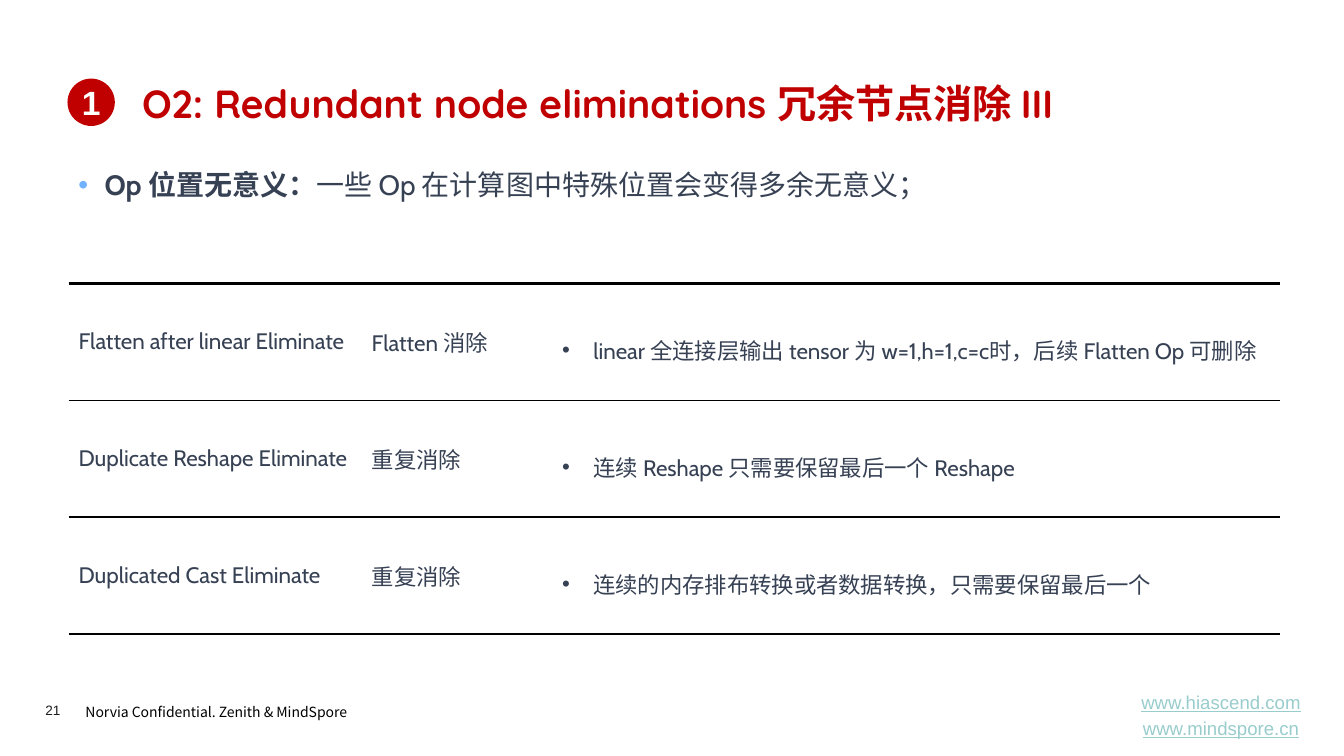
from lxml.etree import SubElement
from pptx import Presentation
from pptx.dml.color import RGBColor
from pptx.enum.shapes import MSO_SHAPE
from pptx.enum.text import MSO_ANCHOR, MSO_AUTO_SIZE, PP_ALIGN
from pptx.oxml.ns import qn
from pptx.util import Inches, Pt

COLORS = {"red": "C00000", "text": "374154", "bullet": "71B2FF", "black": "000000",
          "number": "1D1D1B", "link": "99CCCC", "white": "FFFFFF"}
CJK_FONT = "Noto Sans CJK SC"


def add_span(para, text, size, font, color, bold=False):
    span = para.add_run()
    span.text = text
    span.font.size = Pt(size)
    span.font.name = font
    span.font.bold = bold
    span.font.color.rgb = RGBColor.from_string(COLORS[color])
    SubElement(span.font._element, qn("a:ea"), typeface=CJK_FONT)
    return span


def add_bullet(para, indent, color, spacing):
    props = para._p.get_or_add_pPr()
    props.set("marL", str(Inches(indent)))
    props.set("indent", str(-Inches(indent)))
    bullet_color = SubElement(props, qn("a:buClr"))
    SubElement(bullet_color, qn("a:srgbClr"), val=COLORS[color])
    SubElement(props, qn("a:buFont"), typeface="Arial")
    SubElement(props, qn("a:buChar"), char="•")
    para.line_spacing = spacing


deck = Presentation()
deck.slide_width, deck.slide_height = Inches(13.34), Inches(7.5)
page = deck.slides.add_slide(deck.slide_layouts[5])

# Title
title = page.shapes.title
title.left, title.top = Inches(1.31), Inches(0.74)
title.width, title.height = Inches(11.36), Inches(0.64)
frame = title.text_frame
frame.auto_size = MSO_AUTO_SIZE.NONE
frame.vertical_anchor = MSO_ANCHOR.TOP
para = frame.paragraphs[0]
para.alignment = PP_ALIGN.LEFT
add_span(para, "O2: Redundant node eliminations 冗余节点消除 III", 28, "Quicksand", "red", True)

# Numbered badge
badge = page.shapes.add_shape(MSO_SHAPE.OVAL, Inches(0.67), Inches(0.78), Inches(0.47), Inches(0.47))
badge.shadow.inherit = False
badge.fill.solid()
badge.fill.fore_color.rgb = RGBColor.from_string(COLORS["red"])
badge.line.fill.background()
frame = badge.text_frame
frame.word_wrap = False
frame.vertical_anchor = MSO_ANCHOR.MIDDLE
para = frame.paragraphs[0]
para.alignment = PP_ALIGN.CENTER
add_span(para, "1", 24, "Arial", "white", True)

# Introductory bullet
intro = page.shapes.add_textbox(Inches(0.68), Inches(1.55), Inches(11.99), Inches(0.64))
intro.text_frame.word_wrap = True
para = intro.text_frame.paragraphs[0]
add_bullet(para, 0.26, "bullet", 1.2)
add_span(para, "Op 位置无意义：", 20, "Cabin", "text", True)
add_span(para, "一些 Op 在计算图中特殊位置会变得多余无意义；", 20, "Cabin", "text")

# Table of eliminations
ROWS = [
    ("Flatten after linear Eliminate", "Flatten 消除",
     "linear 全连接层输出 tensor 为 w=1,h=1,c=c时，后续 Flatten Op 可删除"),
    ("Duplicate Reshape Eliminate", "重复消除", "连续 Reshape 只需要保留最后一个 Reshape"),
    ("Duplicated Cast Eliminate", "重复消除", "连续的内存排布转换或者数据转换，只需要保留最后一个"),
]
COLUMN_WIDTHS = [2.91, 1.89, 7.23]
ROW_HEIGHT = 1.16
OUTER_LINE, INNER_LINE = 2.25, 1
table = page.shapes.add_table(len(ROWS), len(COLUMN_WIDTHS), Inches(0.68), Inches(2.81),
                              Inches(sum(COLUMN_WIDTHS)), Inches(ROW_HEIGHT * len(ROWS))).table
table.first_row = table.horz_banding = False
for column, width in zip(table.columns, COLUMN_WIDTHS):
    column.width = Inches(width)

for row_index, row in enumerate(ROWS):
    table.rows[row_index].height = Inches(ROW_HEIGHT)
    top = OUTER_LINE if row_index == 0 else INNER_LINE
    bottom = OUTER_LINE if row_index == len(ROWS) - 1 else INNER_LINE
    for column_index, text in enumerate(row):
        cell = table.cell(row_index, column_index)
        cell.vertical_anchor = MSO_ANCHOR.MIDDLE
        props = cell._tc.get_or_add_tcPr()
        for side, weight in (("L", 0), ("R", 0), ("T", top), ("B", bottom)):
            border = SubElement(props, qn(f"a:ln{side}"), w=str(Pt(weight)))
            if weight:
                border_fill = SubElement(border, qn("a:solidFill"))
                SubElement(border_fill, qn("a:srgbClr"), val=COLORS["black"])
            else:
                SubElement(border, qn("a:noFill"))
        cell.fill.solid()
        cell.fill.fore_color.rgb = RGBColor.from_string(COLORS["white"])
        para = cell.text_frame.paragraphs[0]
        if column_index == 2:
            para.level = 1
            add_bullet(para, 0.31, "text", 1.5)
        add_span(para, text, 16, "Cabin", "text")

# Footer: page number, notice and web addresses
number = page.shapes.add_textbox(Inches(0.45), Inches(6.96), Inches(0.55), Inches(0.16))
frame = number.text_frame
frame.margin_left = frame.margin_right = frame.margin_top = frame.margin_bottom = 0
add_span(frame.paragraphs[0], "21", 9.7, "Arial", "number")

notice = page.shapes.add_textbox(Inches(0.75), Inches(6.9), Inches(3.13), Inches(0.29))
notice.text_frame.word_wrap = True
para = notice.text_frame.paragraphs[0]
para.line_spacing = 1.2
add_span(para, "Norvia Confidential. Zenith & MindSpore", 10, CJK_FONT, "black")

addresses = page.shapes.add_textbox(Inches(11.04), Inches(6.88), Inches(2.16), Inches(0.43))
frame = addresses.text_frame
frame.word_wrap = True
frame.vertical_anchor = MSO_ANCHOR.MIDDLE
for index, address in enumerate(["www.hiascend.com", "www.mindspore.cn"]):
    para = frame.add_paragraph() if index else frame.paragraphs[0]
    para.alignment = PP_ALIGN.CENTER
    if index:
        para.space_before = Pt(2.7)
    add_span(para, address, 13.3, "Arial", "link").font.underline = True

deck.save("out.pptx")
